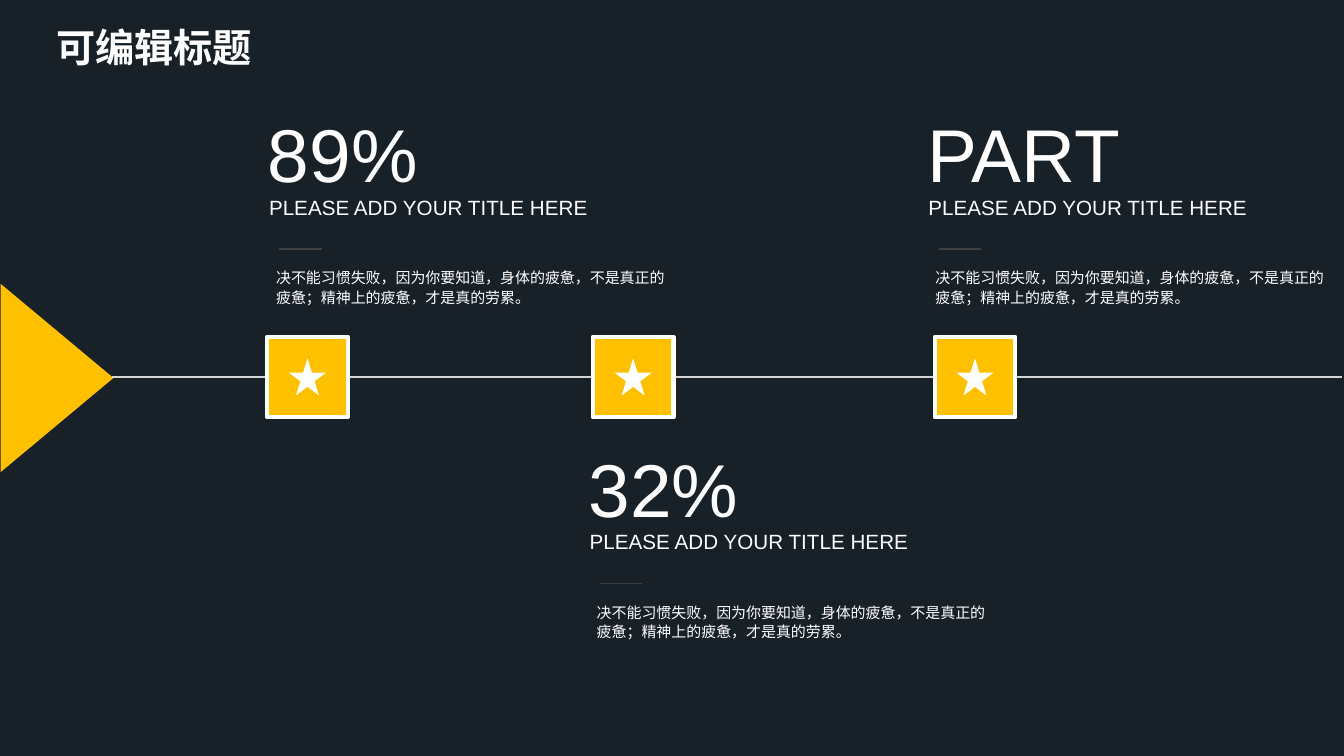
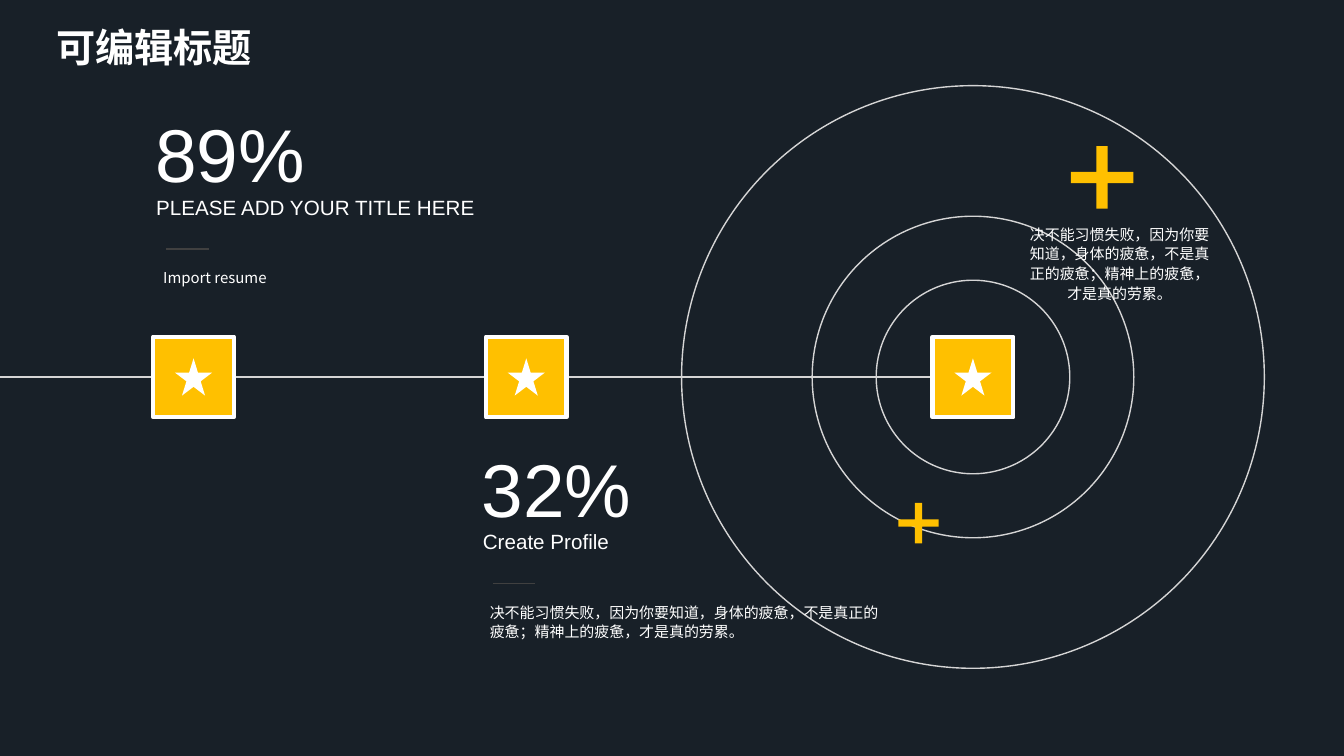
from lxml.etree import SubElement
from pptx import Presentation
from pptx.dml.color import RGBColor
from pptx.enum.shapes import MSO_CONNECTOR, MSO_SHAPE as SHAPE
from pptx.enum.text import PP_ALIGN
from pptx.oxml.ns import qn
from pptx.util import Inches, Pt

NIGHT = RGBColor(0x18, 0x20, 0x28)
AMBER = RGBColor(0xFF, 0xC0, 0x00)
WHITE = RGBColor(0xFF, 0xFF, 0xFF)
SILVER = RGBColor(0xD5, 0xD5, 0xD5)
GRAY = RGBColor(0x40, 0x40, 0x40)
LATIN_FONT = "Arial"
CJK_FONT = "Noto Sans CJK SC"

HEADING = "可编辑标题"
CAPTION = "PLEASE ADD YOUR TITLE HERE"
NOTE = "决不能习惯失败，因为你要知道，身体的疲惫，不是真正的疲惫；精神上的疲惫，才是真的劳累。"

RAIL_Y = 3.74
BADGE = 0.8
STAR = 0.37
UPPER, LOWER = 1.02, 4.34


def draw_shape(slide, kind, left, top, width, height, fill=None, line=None, weight=1):
    shape = slide.shapes.add_shape(kind, Inches(left), Inches(top), Inches(width), Inches(height))
    shape.shadow.inherit = False
    if fill is None:
        shape.fill.background()
    else:
        shape.fill.solid()
        shape.fill.fore_color.rgb = fill
    if line is None:
        shape.line.fill.background()
    else:
        shape.line.color.rgb = line
        shape.line.width = Pt(weight)
    return shape


def write(slide, text, left, top, width, height, size, font=LATIN_FONT,
          bold=False, align=PP_ALIGN.LEFT, spacing=None):
    box = slide.shapes.add_textbox(Inches(left), Inches(top), Inches(width), Inches(height))
    box.text_frame.word_wrap = True
    paragraph = box.text_frame.paragraphs[0]
    paragraph.text = text
    paragraph.alignment = align
    if spacing:
        paragraph.line_spacing = Pt(spacing)
    paragraph.font.size = Pt(size)
    paragraph.font.bold = bold
    paragraph.font.color.rgb = WHITE
    paragraph.font.name = font
    defaults = paragraph._p.pPr.find(qn("a:defRPr"))
    SubElement(defaults, qn("a:ea")).set("typeface", CJK_FONT)


timelines = [
    {
        "rail": (1.11, 13.31),
        "badges": [2.65, 5.88, 9.27],
        "milestones": [
            (2.56, UPPER, "89%", CAPTION, NOTE),
            (5.74, LOWER, "32%", CAPTION, NOTE),
            (9.1, UPPER, "PART", CAPTION, NOTE),
        ],
    },
    {
        "rail": (0, 9.25),
        "badges": [1.52, 4.82, 9.25],
        "milestones": [
            (1.44, UPPER, "89%", CAPTION, "Import resume"),
            (4.68, LOWER, "32%", "Create Profile", NOTE),
        ],
    },
]

prs = Presentation()
prs.slide_width, prs.slide_height = Inches(13.33), Inches(7.5)

for number, timeline in enumerate(timelines, start=1):
    slide = prs.slides.add_slide(prs.slide_layouts[6])
    slide.background.fill.solid()
    slide.background.fill.fore_color.rgb = NIGHT

    if number == 1:
        start_arrow = draw_shape(slide, SHAPE.ISOSCELES_TRIANGLE, -0.37, 3.19, 1.87, 1.12, AMBER)
        start_arrow.rotation = 90
    else:
        for ring in (1.92, 3.19, 5.78):
            draw_shape(slide, SHAPE.OVAL, 9.65 - ring / 2, RAIL_Y - ring / 2, ring, ring, line=SILVER)

    rules = [(*timeline["rail"], RAIL_Y, SILVER)]
    rules += [(left + 0.21, left + 0.63, top + 1.45, GRAY)
              for left, top, *_ in timeline["milestones"]]
    lines = []
    for begin, end, y, color in rules:
        line = slide.shapes.add_connector(
            MSO_CONNECTOR.STRAIGHT, Inches(begin), Inches(y), Inches(end), Inches(y))
        line.line.color.rgb = color
        line.line.width = Pt(1)
        SubElement(line._element.spPr, qn("a:effectLst"))
        lines.append(line)

    for left in timeline["badges"]:
        badge = draw_shape(slide, SHAPE.RECTANGLE, left, RAIL_Y - BADGE / 2, BADGE, BADGE, AMBER, WHITE, 3)
        draw_shape(slide, SHAPE.STAR_5_POINT, left + (BADGE - STAR) / 2, RAIL_Y - STAR / 2, STAR, STAR, WHITE)
    if number == 2:
        lines[0].end_connect(badge, 1)

    for left, top, figure, caption, note in timeline["milestones"]:
        write(slide, figure, left, top, 2.3, 1, 53.4)
        write(slide, caption, left + 0.01, top + 0.86, 3.6, 0.35, 14.7)
        write(slide, note, left + 0.08, top + 1.58, 4.11, 0.48, 10.7, CJK_FONT, spacing=14)

    if number == 2:
        for left, top, size in ((8.91, 4.99, 0.4), (10.62, 1.45, 0.62)):
            plus = draw_shape(slide, SHAPE.CROSS, left, top, size, size, AMBER)
            plus.adjustments[0] = 0.41
        write(slide, NOTE, 10.07, 2.17, 2.07, 0.87, 10.7, CJK_FONT,
              align=PP_ALIGN.CENTER, spacing=14)

    write(slide, HEADING, 0.46, 0.18, 5.1, 0.57, 28, bold=True)

prs.save("out.pptx")
